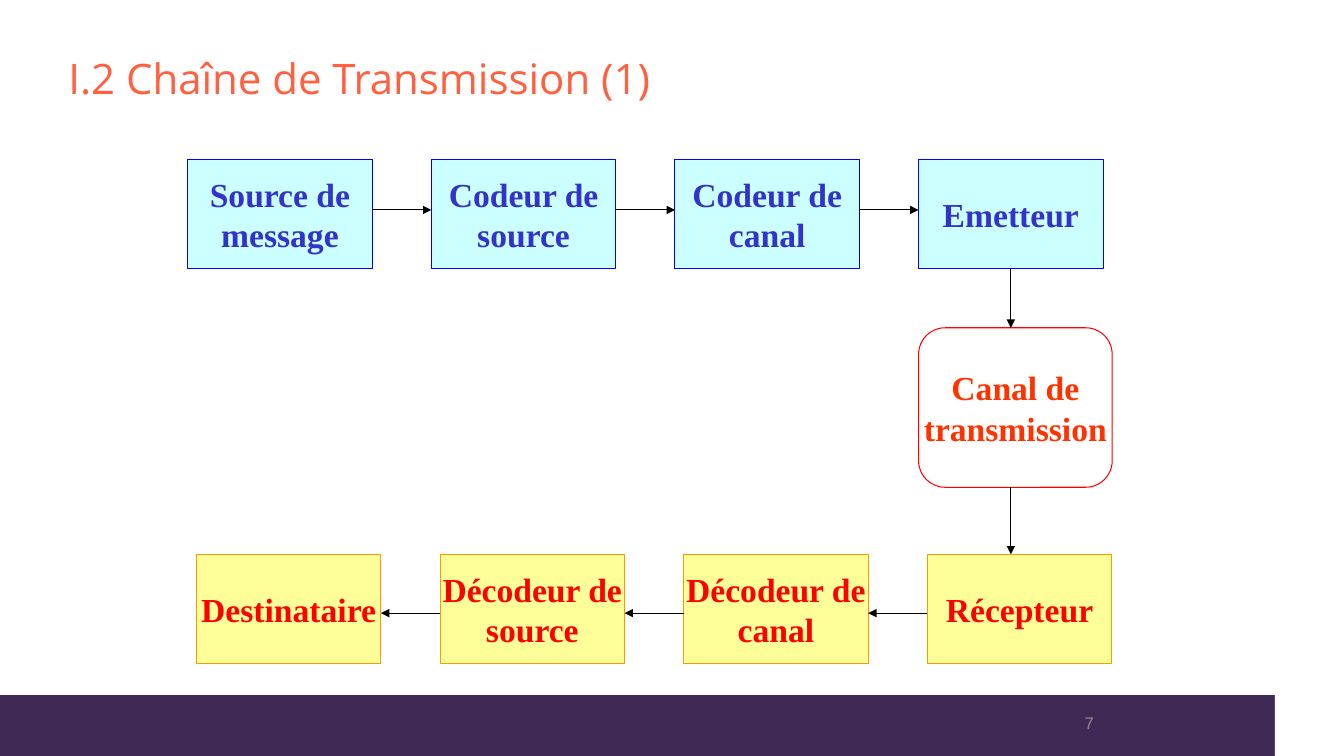
from lxml.etree import SubElement
from pptx import Presentation
from pptx.dml.color import RGBColor
from pptx.enum.shapes import MSO_CONNECTOR, MSO_SHAPE
from pptx.enum.text import MSO_ANCHOR, MSO_AUTO_SIZE, PP_ALIGN
from pptx.oxml.ns import qn
from pptx.util import Cm, Pt

COLORS = {
    "band": "3F2A56", "white": "FFFFFF", "black": "000000",
    "title": "FF6140", "number": "8C8C8C",
    "sender_fill": "CCFFFF", "sender_line": "0000FF", "sender_text": "3333CC",
    "channel_fill": "FFFFFF", "channel_line": "FF0000", "channel_text": "FF3300",
    "receiver_fill": "FFFF99", "receiver_line": "FF9900", "receiver_text": "FF0000",
}
SENDERS = [["Source de", "message"], ["Codeur de", "source"],
           ["Codeur de", "canal"], ["Emetteur"]]
RECEIVERS = [["Destinataire"], ["Décodeur de", "source"],
             ["Décodeur de", "canal"], ["Récepteur"]]
BOX_W, BOX_H, PITCH = 4.65, 2.75, 6.14
SENDER_X, SENDER_Y = 4.73, 4.02
RECEIVER_X, RECEIVER_Y = 4.95, 13.97
CHANNEL_X, CHANNEL_Y, CHANNEL_W, CHANNEL_H = 23.15, 8.26, 4.88, 4.02


def rgb(name):
    """Return the named colour."""
    return RGBColor.from_string(COLORS[name])


def add_run(p, text, font, size, color, bold=False):
    """Add one formatted run to a paragraph."""
    r = p.add_run()
    r.text = text
    r.font.name, r.font.size, r.font.bold = font, Pt(size), bold
    r.font.color.rgb = rgb(color)


def add_plain(slide, kind, x, y, w, h, fill):
    """Add a filled shape without outline or shadow."""
    sp = slide.shapes.add_shape(kind, Cm(x), Cm(y), Cm(w), Cm(h))
    sp.shadow.inherit = False
    sp.fill.solid()
    sp.fill.fore_color.rgb = rgb(fill)
    sp.line.fill.background()
    return sp


def add_block(slide, lines, x, y, role, w=BOX_W, h=BOX_H, kind=MSO_SHAPE.RECTANGLE):
    """Add a block of the chain, one paragraph per line of its label."""
    sp = add_plain(slide, kind, x, y, w, h, role + "_fill")
    sp.line.color.rgb = rgb(role + "_line")
    sp.line.width = Pt(0.75)
    tf = sp.text_frame
    tf.word_wrap = False
    tf.vertical_anchor = MSO_ANCHOR.MIDDLE
    for i, line in enumerate(lines):
        p = tf.add_paragraph() if i else tf.paragraphs[0]
        p.alignment = PP_ALIGN.CENTER
        add_run(p, line, "Times New Roman", 24, role + "_text", bold=True)


def add_arrow(slide, x1, y1, x2, y2):
    """Add a thin black arrow pointing at its second end."""
    cxn = slide.shapes.add_connector(
        MSO_CONNECTOR.STRAIGHT, Cm(x1), Cm(y1), Cm(x2), Cm(y2))
    cxn.line.color.rgb = rgb("black")
    cxn.line.width = Pt(0.75)
    SubElement(cxn.line._get_or_add_ln(), qn("a:tailEnd"), type="triangle")
    SubElement(cxn._element.spPr, qn("a:effectLst"))


def add_row(slide, blocks, x, y, role, arrow_y, leftward=False):
    """Add a row of evenly spaced blocks joined by arrows."""
    for i, lines in enumerate(blocks):
        left = x + i * PITCH
        add_block(slide, lines, left, y, role)
        if i:
            ends = [left - PITCH + BOX_W, left]
            start, end = reversed(ends) if leftward else ends
            add_arrow(slide, start, arrow_y, end, arrow_y)


def add_channel(slide):
    """Add the channel and the arrows through it."""
    add_block(slide, ["Canal de", "transmission"], CHANNEL_X, CHANNEL_Y, "channel",
              CHANNEL_W, CHANNEL_H, MSO_SHAPE.ROUNDED_RECTANGLE)
    x = SENDER_X + 3 * PITCH + BOX_W / 2
    add_arrow(slide, x, SENDER_Y + BOX_H, x, CHANNEL_Y)
    add_arrow(slide, x, CHANNEL_Y + CHANNEL_H, x, RECEIVER_Y)


def set_title(slide, text):
    """Place and format the title placeholder."""
    sp = slide.shapes.title
    sp.left, sp.top, sp.width, sp.height = Cm(1.47), Cm(1.35), Cm(30.18), Cm(1.68)
    tf = sp.text_frame
    tf.auto_size = MSO_AUTO_SIZE.NONE
    tf.vertical_anchor = MSO_ANCHOR.TOP
    p = tf.paragraphs[0]
    p.alignment = PP_ALIGN.LEFT
    p.line_spacing = 0.9
    add_run(p, text, "Open Sans", 30, "title")


def add_footer(slide, number):
    """Add the bottom band, the emblem block and the page number."""
    add_plain(slide, MSO_SHAPE.RECTANGLE, 0, 17.52, 33.87, 1.53, "band")
    add_plain(slide, MSO_SHAPE.RECTANGLE, 32.13, 17.3, 1.74, 1.75, "white")
    sp = slide.shapes.add_textbox(Cm(20.2), Cm(17.7), Cm(7.62), Cm(1.02))
    tf = sp.text_frame
    tf.word_wrap = True
    tf.vertical_anchor = MSO_ANCHOR.MIDDLE
    p = tf.paragraphs[0]
    p.alignment = PP_ALIGN.RIGHT
    add_run(p, number, "Arial", 12, "number")


def main():
    """Build the slide and save it."""
    prs = Presentation()
    prs.slide_width, prs.slide_height = Cm(33.87), Cm(19.05)
    s = prs.slides.add_slide(prs.slide_layouts[5])
    set_title(s, "I.2 Chaîne de Transmission (1)")
    add_footer(s, "7")
    add_row(s, SENDERS, SENDER_X, SENDER_Y, "sender", 5.29)
    add_channel(s)
    add_row(s, RECEIVERS, RECEIVER_X, RECEIVER_Y, "receiver", 15.45, leftward=True)
    prs.save("out.pptx")


main()
